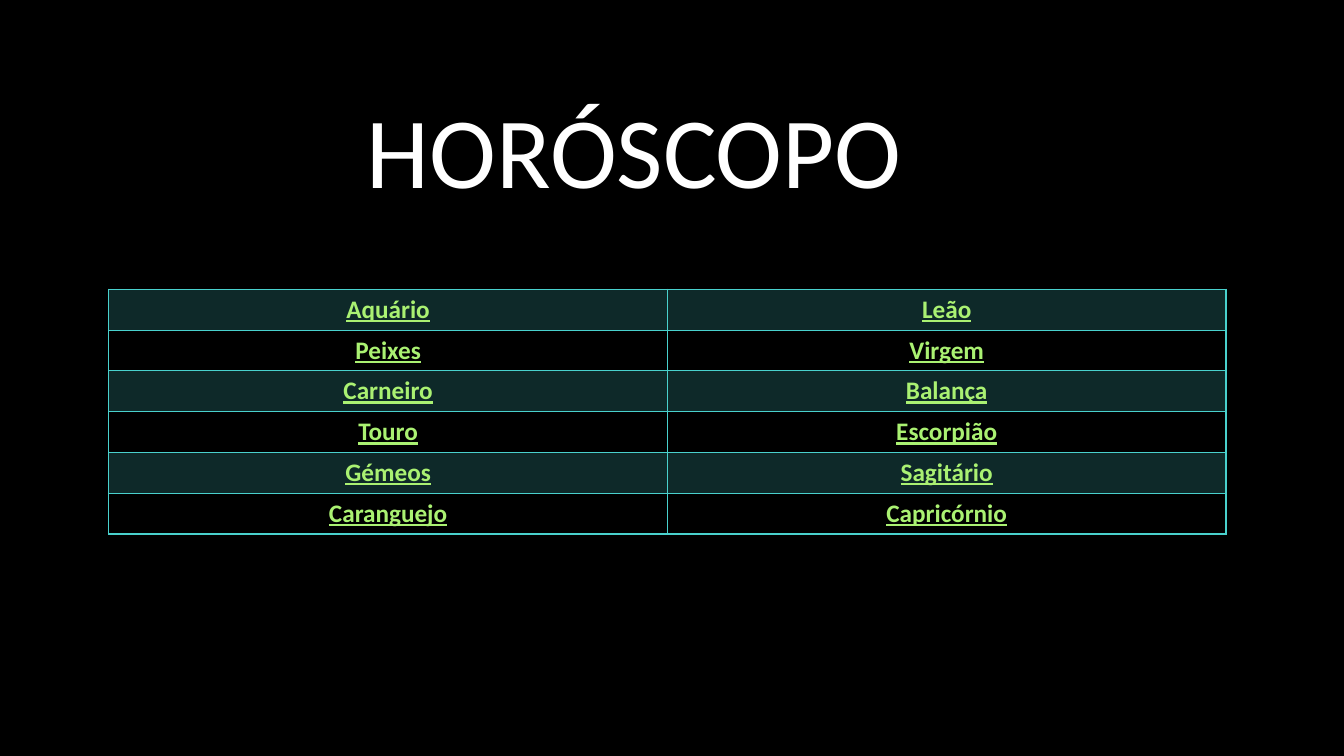
from lxml.etree import SubElement as Sub
from pptx import Presentation
from pptx.dml.color import RGBColor
from pptx.enum.text import MSO_ANCHOR as Anchor, PP_ALIGN as Align
from pptx.oxml.ns import qn
from pptx.util import Inches, Pt

# Content
TITLE = "HORÓSCOPO"
SIGNS = [
    ("Aquário", "Leão"),
    ("Peixes", "Virgem"),
    ("Carneiro", "Balança"),
    ("Touro", "Escorpião"),
    ("Gémeos", "Sagitário"),
    ("Caranguejo", "Capricórnio"),
]
BLACK, WHITE, TEAL, LIME = "000000", "FFFFFF", "49D1CD", "AAF172"

# Grid, in inches
WIDE, HIGH = 13.33, 7.5
COL, ROW = 5.54, 0.405
SPAN = COL * len(SIGNS[0])
HEAD = (0.75, 0.67, SPAN, 1.59)
GRID = (1.08, 2.87, SPAN, ROW * len(SIGNS))


def color(code):
    return RGBColor.from_string(code)


def write(frame, text, size, ink, bold=False, under=False):
    para = frame.paragraphs[0]
    para.alignment = Align.CENTER
    run = para.add_run()
    run.text = text
    font = run.font
    font.name, font.size = "Calibri", Pt(size)
    font.bold, font.underline = bold, under
    font.color.rgb = color(ink)


def border(cell, ink, width):
    props = cell._tc.get_or_add_tcPr()
    for spot, side in enumerate(("lnL", "lnR", "lnT", "lnB")):
        line = props.makeelement(qn("a:" + side), {"w": str(Pt(width))})
        fill = Sub(line, qn("a:solidFill"))
        Sub(fill, qn("a:srgbClr"), val=ink)
        props.insert(spot, line)


def shade(cell, ink, share):
    cell.fill.solid()
    cell.fill.fore_color.rgb = color(ink)
    tone = cell._tc.tcPr.find(".//" + qn("a:srgbClr"))
    Sub(tone, qn("a:alpha"), val=str(share * 1000))


deck = Presentation()
deck.slide_width, deck.slide_height = Inches(WIDE), Inches(HIGH)
slide = deck.slides.add_slide(deck.slide_layouts[6])
slide.background.fill.solid()
slide.background.fill.fore_color.rgb = color(BLACK)

# Title
frame = slide.shapes.add_textbox(*map(Inches, HEAD)).text_frame
frame.word_wrap = True
frame.vertical_anchor = Anchor.MIDDLE
write(frame, TITLE, size=72, ink=WHITE)

# Table of signs, every other row tinted
table = slide.shapes.add_table(
    len(SIGNS), len(SIGNS[0]), *map(Inches, GRID)).table
table.first_row = table.horz_banding = False
for r, names in enumerate(SIGNS):
    table.rows[r].height = Inches(ROW)
    for c, name in enumerate(names):
        cell = table.cell(r, c)
        write(cell.text_frame, name, size=18, ink=LIME, bold=True, under=True)
        if r % 2:
            cell.fill.background()
        else:
            shade(cell, TEAL, 20)
        border(cell, TEAL, 1)

deck.save("out.pptx")
